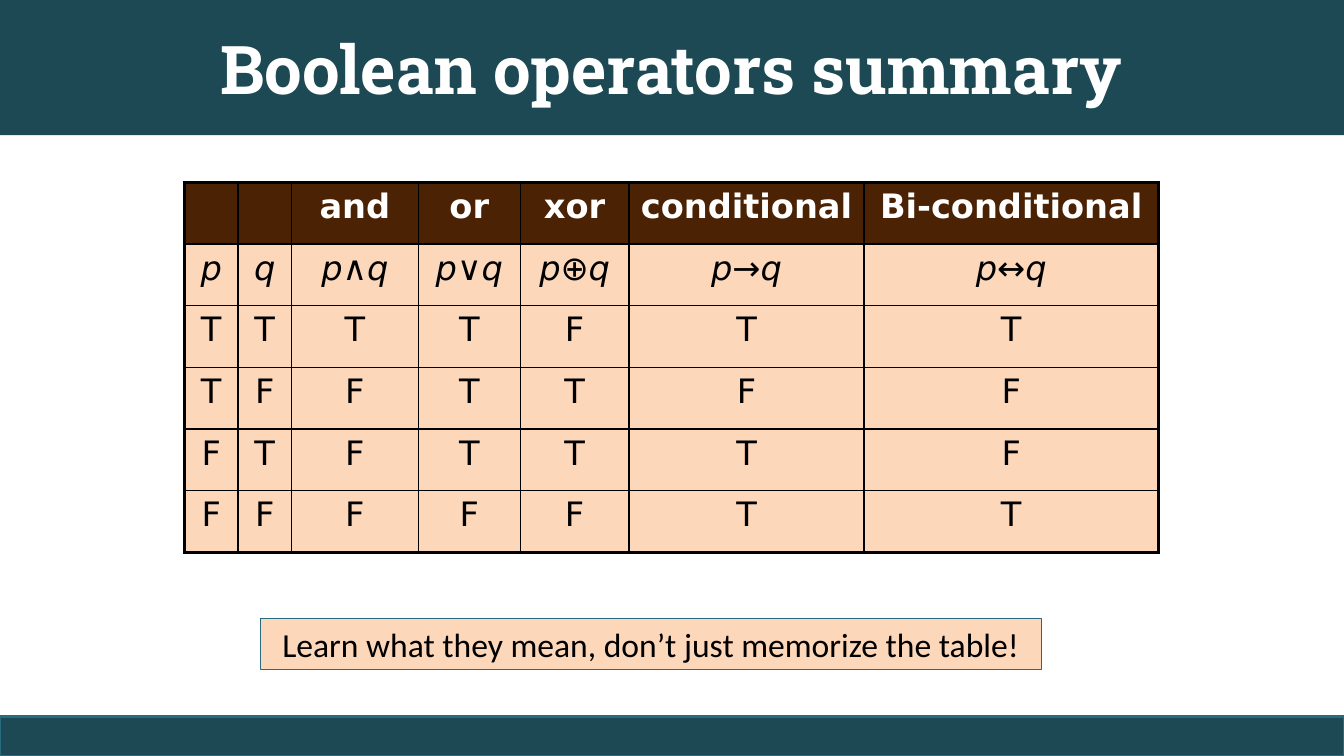
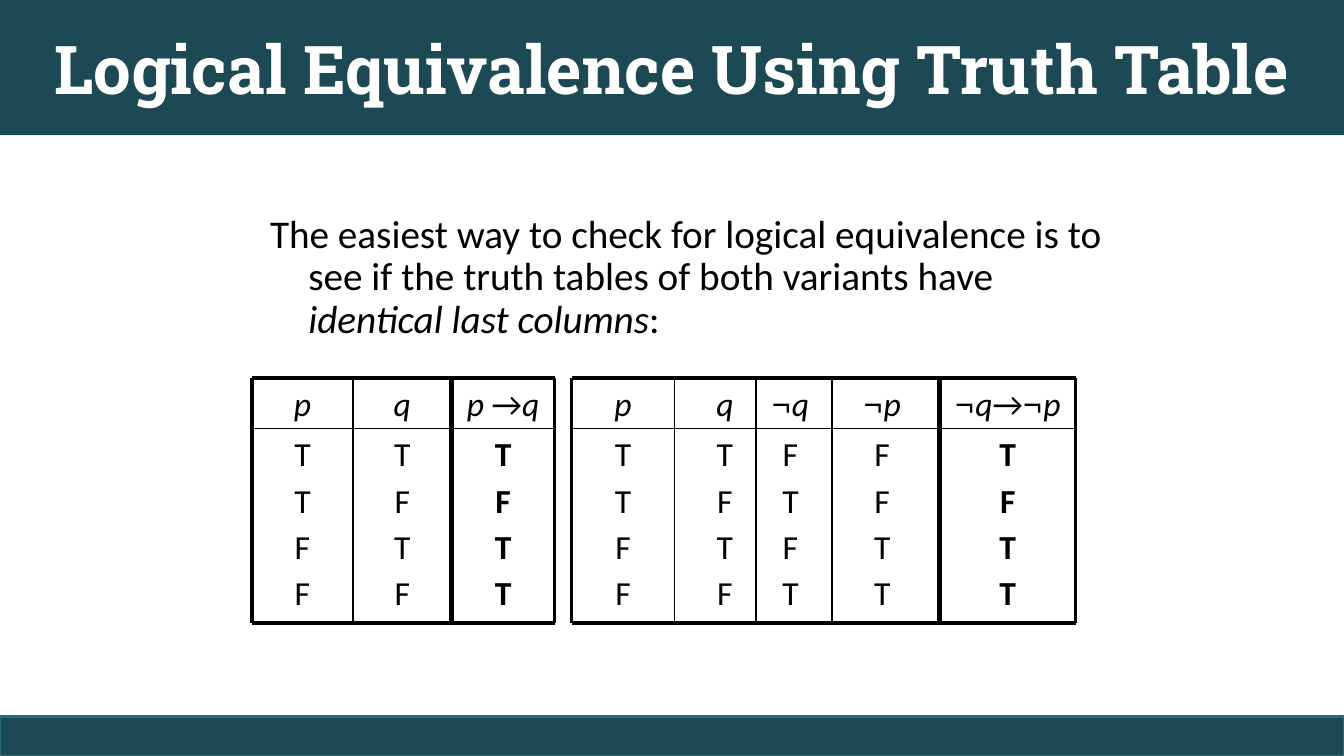
import dataclasses

import lxml.etree
import pptx
import pptx.dml.color
import pptx.enum.shapes
import pptx.enum.text
import pptx.oxml.ns
import pptx.util

Inches = pptx.util.Inches
Pt = pptx.util.Pt
RGBColor = pptx.dml.color.RGBColor
Align = pptx.enum.text.PP_ALIGN
Anchor = pptx.enum.text.MSO_ANCHOR
qn = pptx.oxml.ns.qn

TEAL = RGBColor(0x1C, 0x49, 0x54)
TEAL_EDGE = RGBColor(0x29, 0x6B, 0x7C)
BROWN = RGBColor(0x4B, 0x22, 0x03)
PEACH = RGBColor(0xFD, 0xD7, 0xBA)
WHITE = RGBColor(0xFF, 0xFF, 0xFF)
BLACK = RGBColor(0x00, 0x00, 0x00)

TITLE_FONT = "Roboto Slab"
BODY_FONT = "Calibri"
TABLE_FONT = "DejaVu Sans"
NEGATION_FONT = "Times New Roman"

SLIDE_W, SLIDE_H = 13.33, 7.5
THIN, OUTER, THICK = 1, 2.25, 4
GRID_TOP, GRID_HEADER_BOTTOM, GRID_BOTTOM = 3.75, 4.25, 6.18

OPERATOR_WIDTHS = (0.53, 0.53, 1.26, 1.01, 1.08, 2.33, 2.92)
OPERATOR_ROWS = (
    ("", "", "and", "or", "xor", "conditional", "Bi-conditional"),
    ("p", "q", "p∧q", "p∨q", "p⊕q", "p→q", "p↔q"),
    "TTTTFTT",
    "TFFTTFF",
    "FTFTTTF",
    "FFFFFTT",
)


@dataclasses.dataclass(frozen=True)
class Column:
    header: str
    values: str
    left: float
    width: float
    bold: bool = False


@dataclasses.dataclass(frozen=True)
class Rule:
    x: float
    weight: float


@dataclasses.dataclass(frozen=True)
class Grid:
    columns: tuple[Column, ...]
    rules: tuple[Rule, ...]


GRIDS = (
    Grid(
        (
            Column("p", "TTFF", 2.5, 1),
            Column("q", "TFTF", 3.5, 0.98),
            Column("p →q", "TFTT", 4.48, 1.02, True),
        ),
        (Rule(2.5, OUTER), Rule(3.5, THIN), Rule(4.48, THICK), Rule(5.5, OUTER)),
    ),
    Grid(
        (
            Column("p", "TTFF", 5.67, 1.02),
            Column("q", "TFTF", 6.69, 1),
            Column("¬q", "FTFT", 7.34, 1),
            Column("¬p", "FFTT", 8.25, 1),
            Column("¬q→¬p", "TFTT", 9.32, 1.35, True),
        ),
        (
            Rule(5.67, OUTER),
            Rule(6.69, THIN),
            Rule(7.5, THIN),
            Rule(8.25, THIN),
            Rule(9.32, THICK),
            Rule(10.67, OUTER),
        ),
    ),
)


def style_paragraph(p, size: float, name: str = BODY_FONT, color: RGBColor = BLACK,
                    bold: bool = False, align=Align.CENTER) -> None:
    p.alignment = align
    p.font.size = Pt(size)
    p.font.name = name
    p.font.color.rgb = color
    p.font.bold = bold


def add_formula(p, text: str) -> None:
    for symbol in text:
        r = p.add_run()
        r.text = symbol
        if symbol in "pq¬":
            r.font.italic = True
        if symbol == "¬":
            r.font.name = NEGATION_FONT
            r.font.bold = True


def add_box(s, left: float, top: float, width: float, height: float,
            fill: RGBColor, edge: RGBColor | None = None, weight: float = 0):
    sp = s.shapes.add_shape(pptx.enum.shapes.MSO_SHAPE.RECTANGLE, Inches(left),
                            Inches(top), Inches(width), Inches(height))
    sp.shadow.inherit = False
    sp.fill.solid()
    sp.fill.fore_color.rgb = fill
    if edge is None:
        sp.line.fill.background()
    else:
        sp.line.color.rgb = edge
        sp.line.width = Pt(weight)
    return sp


def add_text(s, left: float, top: float, width: float, height: float):
    tf = s.shapes.add_textbox(Inches(left), Inches(top), Inches(width),
                              Inches(height)).text_frame
    tf.word_wrap = True
    return tf


def add_line(s, x1: float, y1: float, x2: float, y2: float, weight: float) -> None:
    line = s.shapes.add_connector(pptx.enum.shapes.MSO_CONNECTOR.STRAIGHT, Inches(x1),
                                  Inches(y1), Inches(x2), Inches(y2))
    line.line.color.rgb = BLACK
    line.line.width = Pt(weight)
    lxml.etree.SubElement(line._element.spPr, qn("a:effectLst"))


def add_base_slide(prs, title: str):
    s = prs.slides.add_slide(prs.slide_layouts[6])
    tf = add_box(s, 0, 0, SLIDE_W, 1.34, TEAL).text_frame
    tf.word_wrap = True
    tf.vertical_anchor = Anchor.MIDDLE
    p = tf.paragraphs[0]
    p.text = title
    style_paragraph(p, 48, TITLE_FONT, WHITE, bold=True)
    add_box(s, 0, 7.11, SLIDE_W, 0.39, TEAL, TEAL_EDGE, 2)
    return s


def set_borders(cell, weights: dict[str, float]) -> None:
    tc_pr = cell._tc.get_or_add_tcPr()
    for side, weight in weights.items():
        ln = lxml.etree.SubElement(tc_pr, qn(f"a:ln{side}"), w=str(Pt(weight)))
        fill = lxml.etree.SubElement(ln, qn("a:solidFill"))
        lxml.etree.SubElement(fill, qn("a:srgbClr"), val=str(BLACK))


def add_operator_table(s) -> None:
    n_rows, n_cols = len(OPERATOR_ROWS), len(OPERATOR_WIDTHS)
    row_height = 3.67 / n_rows
    table = s.shapes.add_table(n_rows, n_cols, Inches(1.83), Inches(1.81),
                               Inches(sum(OPERATOR_WIDTHS)), Inches(3.67)).table
    table.horz_banding = False
    for column, width in zip(table.columns, OPERATOR_WIDTHS):
        column.width = Inches(width)
    for i, values in enumerate(OPERATOR_ROWS):
        table.rows[i].height = Inches(row_height)
        header = i == 0
        for j, value in enumerate(values):
            cell = table.cell(i, j)
            set_borders(cell, {
                "L": OUTER if j == 0 else THIN,
                "R": OUTER if j == n_cols - 1 else THIN,
                "T": OUTER if header else THIN,
                "B": OUTER if i == n_rows - 1 else THIN,
            })
            cell.fill.solid()
            cell.fill.fore_color.rgb = BROWN if header else PEACH
            p = cell.text_frame.paragraphs[0]
            style_paragraph(p, 24, TABLE_FONT, WHITE if header else BLACK, header)
            if header:
                p.text = value
            else:
                add_formula(p, value)


def add_grid(s, grid: Grid) -> None:
    for column in grid.columns:
        tf = add_text(s, column.left, GRID_TOP, column.width,
                      GRID_HEADER_BOTTOM - GRID_TOP)
        style_paragraph(tf.paragraphs[0], 24)
        add_formula(tf.paragraphs[0], column.header)
        tf = add_text(s, column.left, GRID_HEADER_BOTTOM, column.width, 1.94)
        for i, value in enumerate(column.values):
            p = tf.add_paragraph() if i else tf.paragraphs[0]
            p.text = value
            style_paragraph(p, 24, bold=column.bold)
            if i:
                p.space_before = Pt(4.3)
    left, right = grid.rules[0].x, grid.rules[-1].x
    for y, weight in ((GRID_TOP, OUTER), (GRID_HEADER_BOTTOM, THIN), (GRID_BOTTOM, OUTER)):
        add_line(s, left, y, right, y, weight)
    for rule in grid.rules:
        add_line(s, rule.x, GRID_TOP, rule.x, GRID_BOTTOM, rule.weight)


def build_summary(prs) -> None:
    s = add_base_slide(prs, "Boolean operators summary")
    add_operator_table(s)
    tf = add_box(s, 2.58, 6.14, 7.75, 0.5, PEACH, TEAL_EDGE, 0.75).text_frame
    tf.word_wrap = True
    tf.vertical_anchor = Anchor.TOP
    p = tf.paragraphs[0]
    p.text = "Learn what they mean, don’t just memorize the table!"
    style_paragraph(p, 24)


def build_equivalence(prs) -> None:
    s = add_base_slide(prs, "Logical Equivalence Using Truth Table")
    p = add_text(s, 2.58, 2.08, 8.5, 1.42).paragraphs[0]
    style_paragraph(p, 28, align=Align.LEFT)
    p.line_spacing = 0.9
    p_pr = p._p.get_or_add_pPr()
    p_pr.set("marL", str(Inches(0.38)))
    p_pr.set("indent", str(Inches(-0.38)))
    for text, italic in (
        ("The easiest way to check for logical equivalence is to see if "
         "the truth tables of both variants have ", False),
        ("identical last columns", True),
        (":", False),
    ):
        r = p.add_run()
        r.text = text
        r.font.italic = italic
    for grid in GRIDS:
        add_grid(s, grid)


def main() -> None:
    prs = pptx.Presentation()
    prs.slide_width = Inches(SLIDE_W)
    prs.slide_height = Inches(SLIDE_H)
    build_summary(prs)
    build_equivalence(prs)
    prs.save("out.pptx")


if __name__ == "__main__":
    main()
